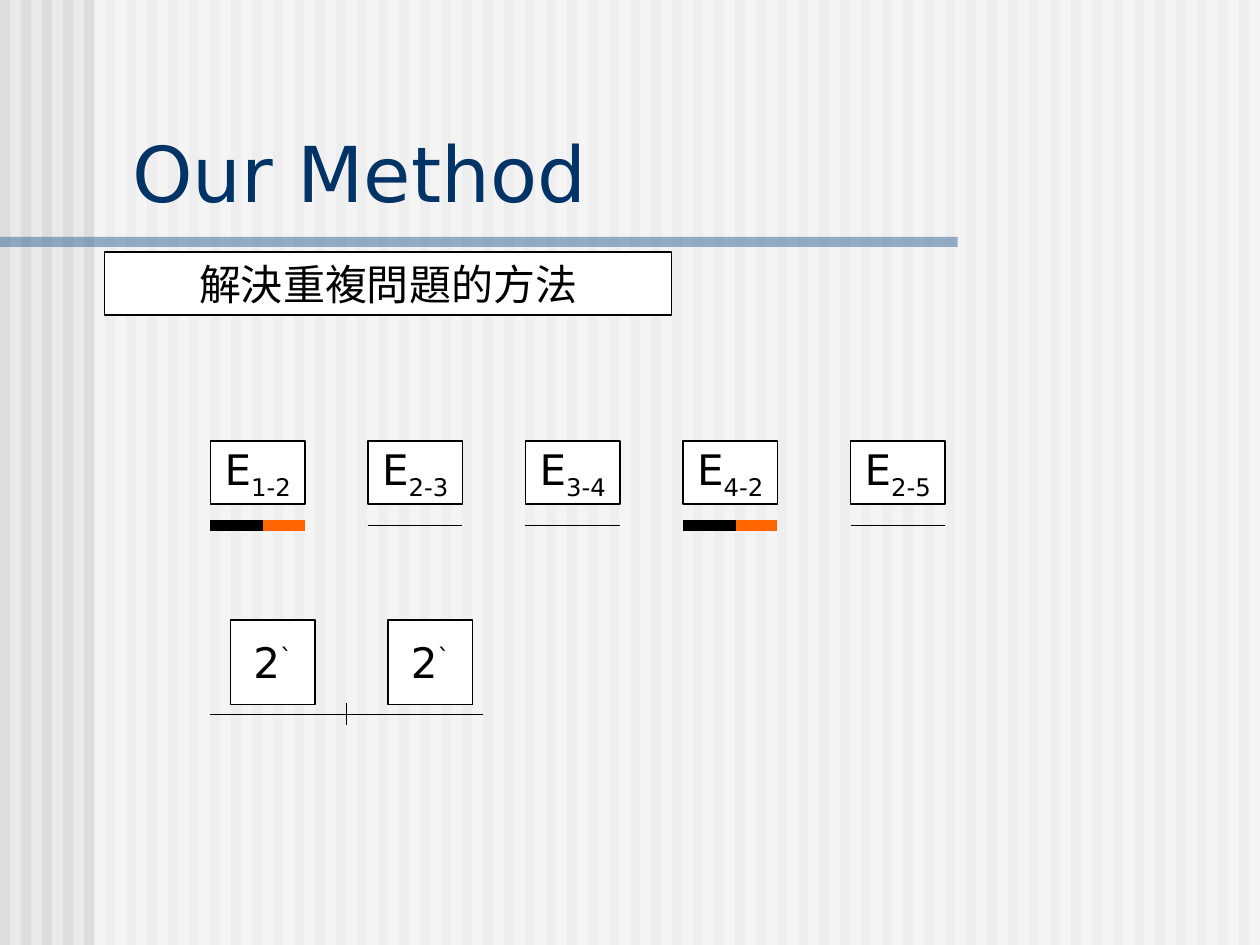
"""Build the Our Method slide with its edge boxes and marks."""
from lxml import etree
from pptx import Presentation
from pptx.dml.color import RGBColor as RGB
from pptx.enum.shapes import MSO_CONNECTOR as LINK, MSO_SHAPE as SHAPE
from pptx.enum.text import MSO_ANCHOR as ANCHOR, PP_ALIGN as ALIGN
from pptx.oxml.ns import qn
from pptx.util import Inches, Pt

INK = {
    "back": "EAEAEA", "stripe": "DDDDDD", "white": "FFFFFF", "bar": "336699",
    "title": "003366", "black": "000000", "mark": "FF6600",
}

deck = Presentation()
deck.slide_width, deck.slide_height = Inches(10), Inches(7.5)
slide = deck.slides.add_slide(deck.slide_layouts[6])
slide.background.fill.solid()
slide.background.fill.fore_color.rgb = RGB.from_string(INK["back"])


def block(text, x, y, w, h, fill="white", edge="black", alpha=None, color="black",
          size=24, align=ALIGN.CENTER, anchor=ANCHOR.MIDDLE, shift="", base=0):
    shape = slide.shapes.add_shape(SHAPE.RECTANGLE, *map(Inches, (x, y, w, h)))
    shape.shadow.inherit = False
    if fill:
        shape.fill.solid()
        shape.fill.fore_color.rgb = RGB.from_string(INK[fill])
    else:
        shape.fill.background()
    if alpha:
        tint = shape.element.spPr.find(qn("a:solidFill"))[0]
        etree.SubElement(tint, qn("a:alpha")).set("val", str(alpha * 1000))
    if edge:
        shape.line.color.rgb = RGB.from_string(INK[edge])
        shape.line.width = Pt(0.75)
    else:
        shape.line.fill.background()
    if not text:
        return
    frame = shape.text_frame
    frame.word_wrap = False
    frame.vertical_anchor = anchor
    para = frame.paragraphs[0]
    para.alignment = align
    for part, rise in ((text, 0), (shift, base)):
        if part:
            run = para.add_run()
            run.text = part
            run.font.name = "DejaVu Sans"
            run.font.size = Pt(size)
            run.font.color.rgb = RGB.from_string(INK[color])
            if rise:
                run.font._element.set("baseline", str(rise * 1000))


def rule(x1, y1, x2, y2, color="black", width=0.75):
    line = slide.shapes.add_connector(LINK.STRAIGHT, *map(Inches, (x1, y1, x2, y2)))
    line.line.color.rgb = RGB.from_string(INK[color])
    line.line.width = Pt(width)
    etree.SubElement(line.element.spPr, qn("a:effectLst"))


for i in range(60):
    block("", i / 6, 0, 0.08, 7.5, fill="stripe", edge=None)
block("", 0.75, 0, 9.25, 7.5, edge=None, alpha=50)
block("", 0, 1.88, 7.6, 0.08, fill="bar", edge=None, alpha=50)

block("Our Method", 0.95, 0.94, 8.93, 0.84, fill=None, edge=None,
      color="title", size=44, align=ALIGN.LEFT, anchor=ANCHOR.BOTTOM)
block("解決重複問題的方法", 0.83, 2, 4.5, 0.5)

edges = (("1-2", 1.67, True), ("2-3", 2.92, False), ("3-4", 4.17, False),
         ("4-2", 5.42, True), ("2-5", 6.75, False))
for name, x, split in edges:
    block("E", x, 3.5, 0.75, 0.5, shift=name, base=-25)
    if split:
        rule(x, 4.17, x + 0.42, 4.17, width=6)
        rule(x + 0.42, 4.17, x + 0.75, 4.17, color="mark", width=6)
    else:
        rule(x, 4.17, x + 0.75, 4.17)

rule(1.67, 5.67, 3.83, 5.67)
rule(2.75, 5.58, 2.75, 5.75)
for x in (1.83, 3.08):
    block("2", x, 4.92, 0.67, 0.67, shift="`", base=30)

deck.save("out.pptx")
